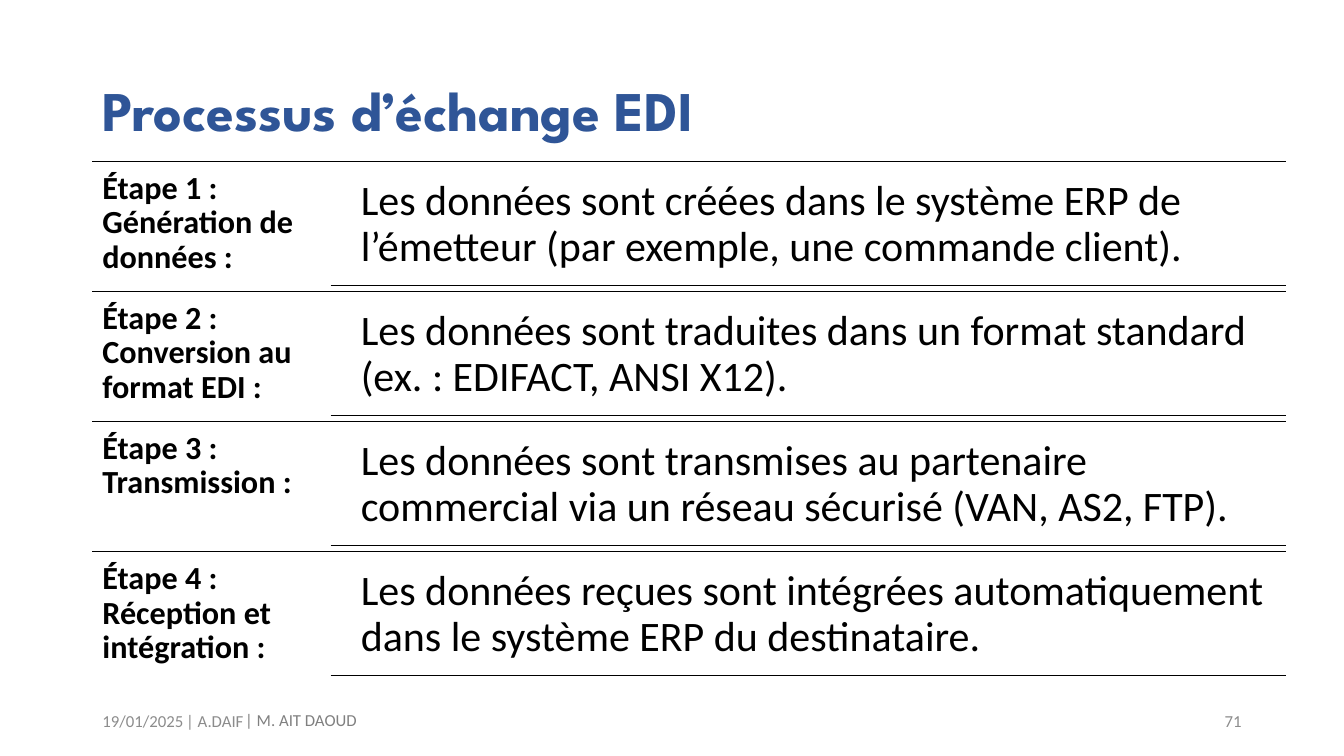
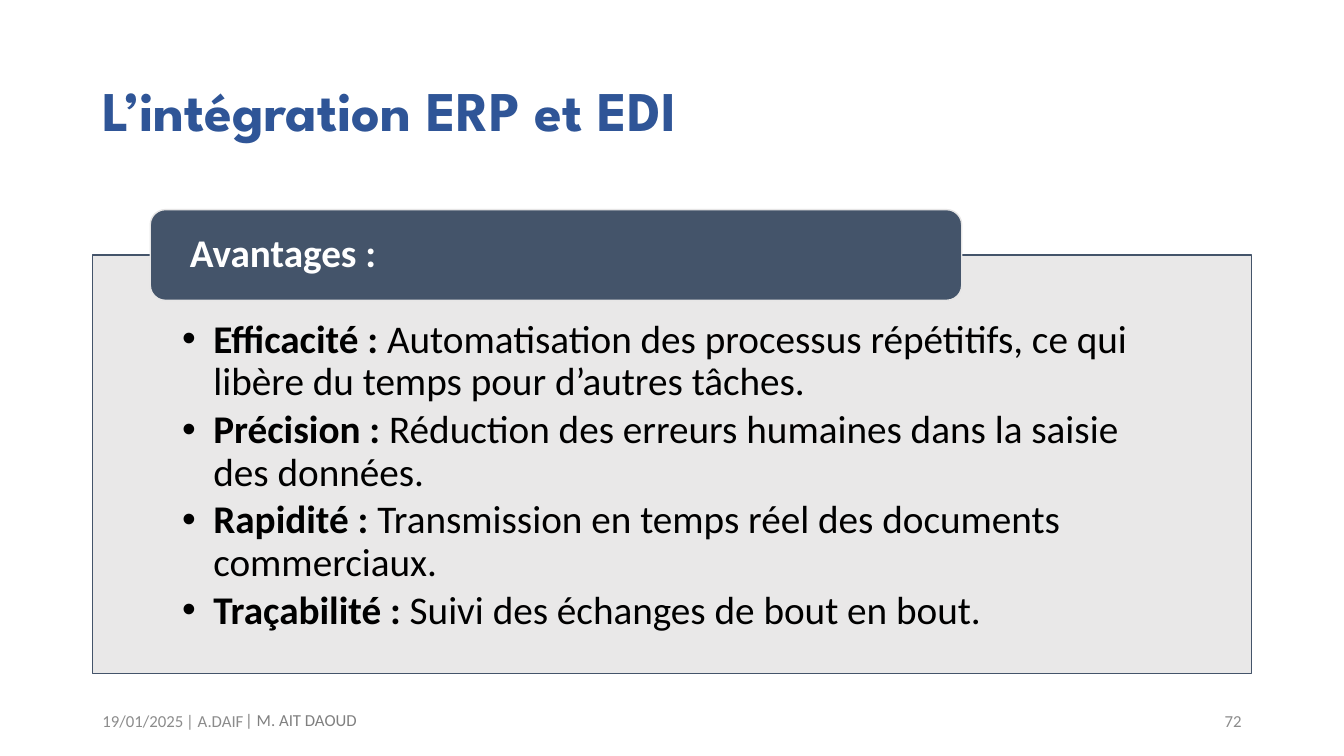
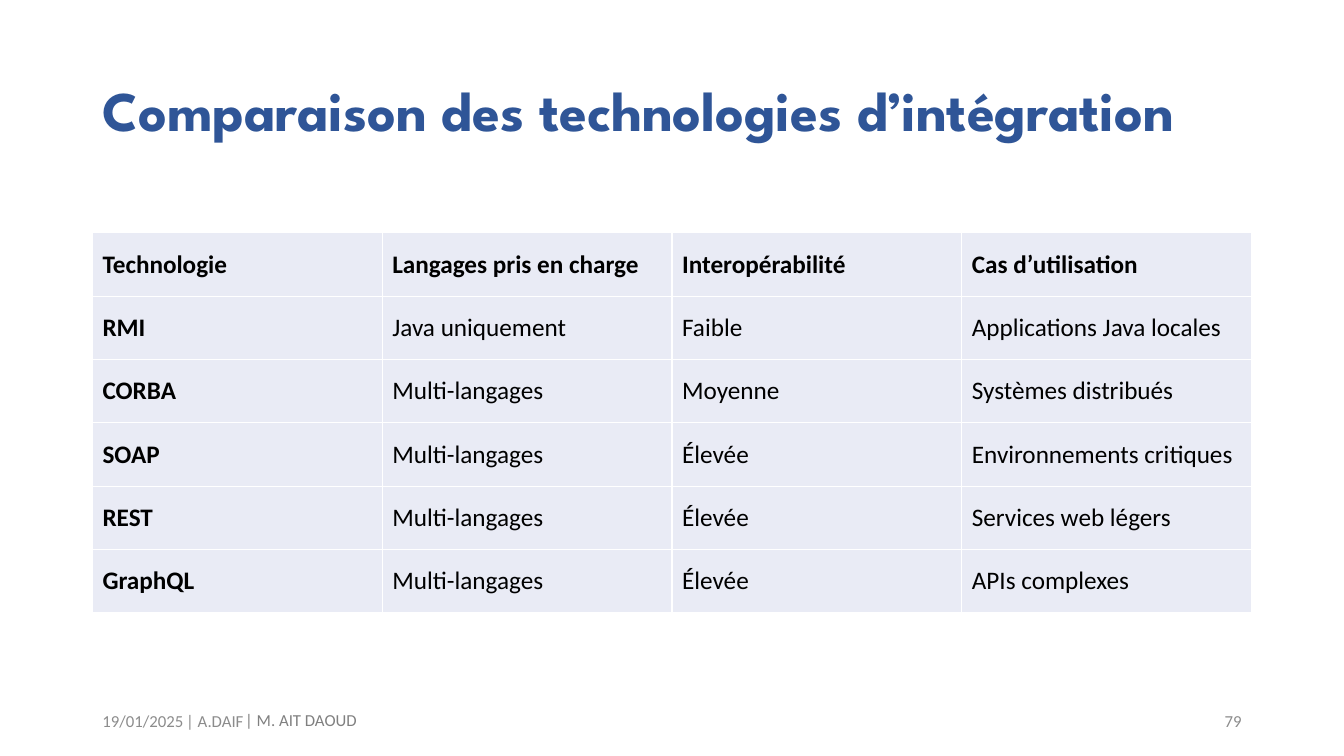
"""Build three slides on EDI exchange, ERP integration and integration technologies."""
from dataclasses import dataclass

from lxml.etree import SubElement
from pptx import Presentation
from pptx.dml.color import RGBColor as Rgb
from pptx.enum.shapes import MSO_CONNECTOR as Connector, MSO_SHAPE as Preset
from pptx.enum.text import MSO_ANCHOR as Anchor, PP_ALIGN as Align
from pptx.oxml.ns import qn
from pptx.util import Inches, Pt


@dataclass(frozen=True)
class Theme:
    blue: Rgb = Rgb.from_string("2F5597")
    slate: Rgb = Rgb.from_string("44546A")
    pale: Rgb = Rgb.from_string("E7E6E6")
    cell: Rgb = Rgb.from_string("E9EBF5")
    black: Rgb = Rgb.from_string("000000")
    white: Rgb = Rgb.from_string("FFFFFF")
    date_grey: Rgb = Rgb.from_string("8C8C8C")
    author_grey: Rgb = Rgb.from_string("808080")
    heading_font: str = "League Spartan"
    body_font: str = "Calibri"
    title: int = 40
    description: int = 30
    benefit: int = 28
    step: int = 23
    cell_text: int = 18
    footer: int = 12


def write(frame, text, size, color, bold=False, font="Calibri", align=Align.LEFT,
          anchor=Anchor.TOP, spacing=1.0, insets=(0.1, 0.05, 0.1, 0.05)):
    frame.word_wrap = True
    frame.vertical_anchor = anchor
    frame.margin_left, frame.margin_top, frame.margin_right, frame.margin_bottom = map(Inches, insets)
    frame.text = text
    for paragraph in frame.paragraphs:
        paragraph.alignment = align
        paragraph.line_spacing = spacing
        for run in paragraph.runs:
            run.font.name, run.font.size = font, Pt(size)
            run.font.bold, run.font.color.rgb = bold, color


def rule(slide, left, right, y):
    line = slide.shapes.add_connector(Connector.STRAIGHT, int(left), int(y), int(right), int(y))
    line.line.color.rgb = theme.black
    line.line.width = Pt(1)
    SubElement(line._element.spPr, qn("a:effectLst"))


theme = Theme()
deck = Presentation()
deck.slide_width, deck.slide_height = Inches(40 / 3), Inches(7.5)
COL, ROW = deck.slide_width / 100, deck.slide_height / 100
LEFT, WIDTH = 6.88 * COL, 86.25 * COL

pages = [("Processus d’échange EDI", "71"),
         ("L’intégration ERP et EDI", "72"),
         ("Comparaison des technologies d’intégration", "79")]
slides = []
for title, number in pages:
    slide = deck.slides.add_slide(deck.slide_layouts[6])
    slides.append(slide)
    heading = slide.shapes.add_textbox(int(LEFT), int(5.33 * ROW), int(WIDTH), int(19.33 * ROW))
    write(heading.text_frame, title, theme.title, theme.blue, True, theme.heading_font,
          anchor=Anchor.MIDDLE, spacing=0.9)
    footer = [("| A.DAIF", 13.12, 93.33, 6.45, 4, theme.date_grey, Align.LEFT),
              ("| M. AIT DAOUD", 16.35, 93.2, 10.95, 4, theme.author_grey, Align.RIGHT),
              ("19/01/2025", 6.88, 92.67, 22.5, 5.33, theme.date_grey, Align.LEFT),
              (number, 70.63, 92.67, 22.5, 5.33, theme.date_grey, Align.RIGHT)]
    for text, x, y, width, height, color, align in footer:
        note = slide.shapes.add_textbox(int(x * COL), int(y * ROW), int(width * COL), int(height * ROW))
        write(note.text_frame, text, theme.footer, color, align=align, anchor=Anchor.MIDDLE)

process, integration, comparison = slides

steps = [("Étape 1 : Génération de données :",
          "Les données sont créées dans le système ERP de l’émetteur (par exemple, une commande client)."),
         ("Étape 2 : Conversion au format EDI :",
          "Les données sont traduites dans un format standard (ex. : EDIFACT, ANSI X12)."),
         ("Étape 3 : Transmission :",
          "Les données sont transmises au partenaire commercial via un réseau sécurisé (VAN, AS2, FTP)."),
         ("Étape 4 : Réception et intégration :",
          "Les données reçues sont intégrées automatiquement dans le système ERP du destinataire.")]
STEP, GAP, RIGHT = 17.2 * ROW, 0.8 * ROW, 95.7 * COL
for index, (step, description) in enumerate(steps):
    top = 21.33 * ROW + index * STEP
    rule(process, LEFT, RIGHT, top)
    label = process.shapes.add_textbox(int(LEFT), int(top), int(17.78 * COL), int(STEP))
    write(label.text_frame, step, theme.step, theme.black, True, spacing=0.9, insets=[0.1] * 4)
    detail = process.shapes.add_textbox(int(25.95 * COL), int(top + GAP), int(69.75 * COL), int(STEP - 2 * GAP))
    write(detail.text_frame, description, theme.description, theme.black, spacing=0.9, insets=[0.12] * 4)
    rule(process, 24.6 * COL, RIGHT, top + STEP - GAP)

panel = integration.shapes.add_shape(
    Preset.RECTANGLE, int(LEFT), int(33.73 * ROW), int(WIDTH), int(55.33 * ROW))
banner = integration.shapes.add_shape(
    Preset.ROUNDED_RECTANGLE, int(11.18 * COL), int(27.73 * ROW), int(60.38 * COL), int(12 * ROW))
for box, fill, border in [(panel, theme.pale, theme.slate), (banner, theme.slate, theme.pale)]:
    box.shadow.inherit = False
    box.fill.solid()
    box.fill.fore_color.rgb = fill
    box.line.color.rgb = border
    box.line.width = Pt(1)
panel_color = panel._element.spPr.find(qn("a:solidFill"))[0]
SubElement(panel_color, qn("a:alpha"), val="90000")
write(banner.text_frame, "Avantages :", theme.benefit, theme.white, True,
      anchor=Anchor.MIDDLE, spacing=0.9, insets=(0.35, 0, 0.35, 0))

benefits = [("Efficacité :", " Automatisation des processus répétitifs, ce qui libère du temps pour d’autres tâches."),
            ("Précision :", " Réduction des erreurs humaines dans la saisie des données."),
            ("Rapidité :", " Transmission en temps réel des documents commerciaux."),
            ("Traçabilité :", " Suivi des échanges de bout en bout.")]
write(panel.text_frame, "\n".join(lead for lead, _ in benefits), theme.benefit, theme.black, True,
      spacing=0.9, insets=(0.89, 0.64, 0.89, 0.22))
for paragraph, (_, explanation) in zip(panel.text_frame.paragraphs, benefits):
    paragraph.space_after = Pt(4)
    properties = paragraph._p.get_or_add_pPr()
    properties.set("marL", str(Inches(0.31)))
    properties.set("indent", str(-Inches(0.31)))
    SubElement(properties, qn("a:buFont"), typeface="Arial")
    SubElement(properties, qn("a:buChar"), char="•")
    run = paragraph.add_run()
    run.text = explanation
    run.font.name, run.font.size = theme.body_font, Pt(theme.benefit)
    run.font.bold, run.font.color.rgb = False, theme.black

technologies = [("Technologie", "Langages pris en charge", "Interopérabilité", "Cas d’utilisation"),
                ("RMI", "Java uniquement", "Faible", "Applications Java locales"),
                ("CORBA", "Multi-langages", "Moyenne", "Systèmes distribués"),
                ("SOAP", "Multi-langages", "Élevée", "Environnements critiques"),
                ("REST", "Multi-langages", "Élevée", "Services web légers"),
                ("GraphQL", "Multi-langages", "Élevée", "APIs complexes")]
grid = comparison.shapes.add_table(len(technologies), len(technologies[0]), int(LEFT), int(30.8 * ROW),
                                   int(WIDTH), int(50.27 * ROW)).table
grid.first_row = grid.horz_banding = False
for row, values in enumerate(technologies):
    for column, value in enumerate(values):
        cell = grid.cell(row, column)
        write(cell.text_frame, value, theme.cell_text, theme.black, row == 0 or column == 0)
        cell.vertical_anchor = Anchor.MIDDLE
        for side in ("a:lnL", "a:lnR", "a:lnT", "a:lnB"):
            edge = SubElement(cell._tc.get_or_add_tcPr(), qn(side), w=str(Pt(1)))
            SubElement(SubElement(edge, qn("a:solidFill")), qn("a:srgbClr"), val=str(theme.white))
        cell.fill.solid()
        cell.fill.fore_color.rgb = theme.cell

deck.save("out.pptx")
